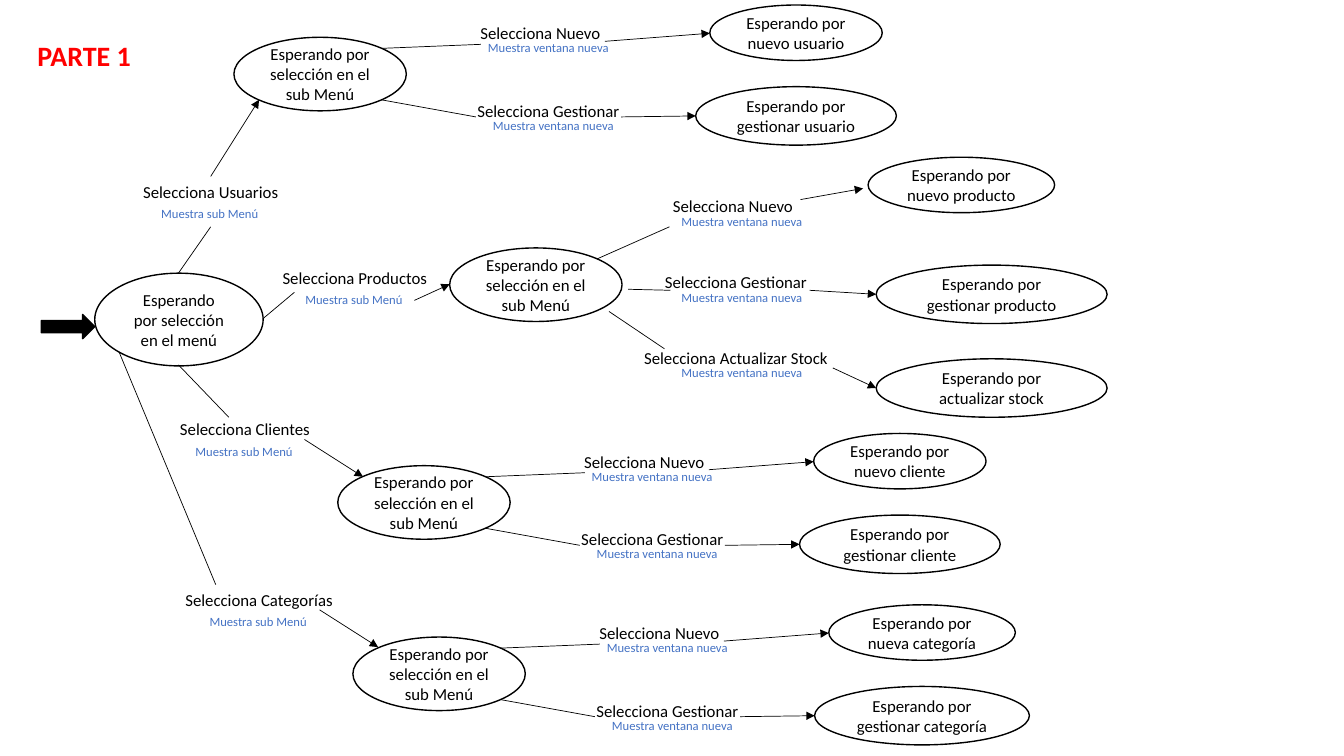
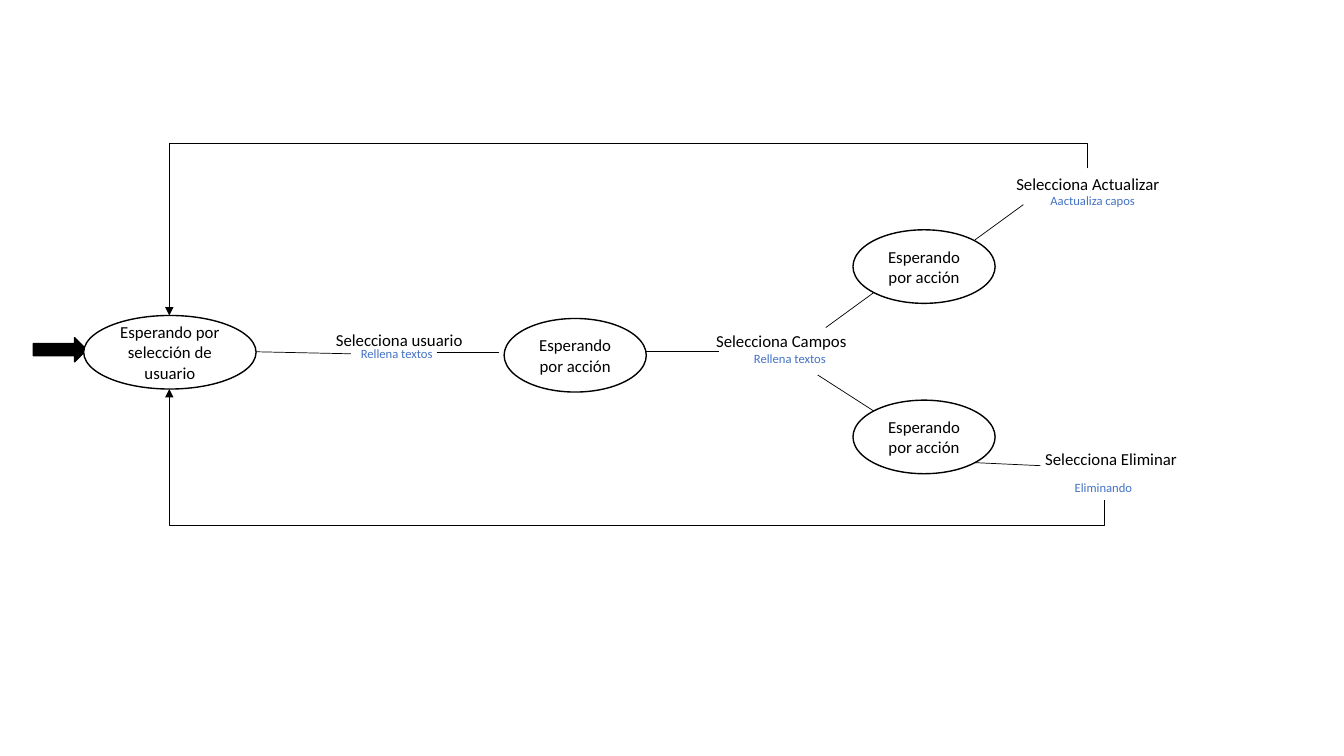
from lxml import etree
from pptx import Presentation
from pptx.dml.color import RGBColor
from pptx.enum.shapes import MSO_CONNECTOR, MSO_SHAPE
from pptx.enum.text import MSO_ANCHOR, MSO_AUTO_SIZE, PP_ALIGN
from pptx.oxml.ns import qn
from pptx.util import Inches, Pt

OVAL, ARROW = MSO_SHAPE.OVAL, MSO_SHAPE.RIGHT_ARROW
LINE, ELBOW = MSO_CONNECTOR.STRAIGHT, MSO_CONNECTOR.ELBOW
LEFT, CENTER = PP_ALIGN.LEFT, PP_ALIGN.CENTER
MIDDLE, TOP = MSO_ANCHOR.MIDDLE, MSO_ANCHOR.TOP
GROW, FIXED = MSO_AUTO_SIZE.SHAPE_TO_FIT_TEXT, MSO_AUTO_SIZE.NONE

# Shared look
FONT = "Calibri"
BLACK, WHITE, BLUE, RED = "000000", "FFFFFF", "4472C4", "FF0000"
SUB, NEW, FILL = "Muestra sub Menú", "Muestra ventana nueva", "Rellena textos"
WIDE = {SUB: 1.18, NEW: 1.42, FILL: 0.93, "Eliminando": 0.78, "Aactualiza capos": 1.05}
CHOOSE, ACT = "Esperando por selección en el sub Menú", "Esperando por acción"


def color(code):
    return RGBColor.from_string(code)


def write(frame, words, size, code, align=CENTER, bold=False):
    para = frame.paragraphs[0]
    para.alignment = align
    run = para.add_run()
    run.text = words
    run.font.name, run.font.size, run.font.bold = FONT, Pt(size), bold
    run.font.color.rgb = color(code)


def shape(slide, kind, x, y, w, h, fill):
    item = slide.shapes.add_shape(kind, Inches(x), Inches(y), Inches(w), Inches(h))
    item.shadow.inherit = False
    item.fill.solid()
    item.fill.fore_color.rgb = color(fill)
    item.line.color.rgb = color(BLACK)
    item.line.width = Pt(1)
    return item


def state(slide, x, y, w, h, words):
    frame = shape(slide, OVAL, x, y, w, h, WHITE).text_frame
    frame.word_wrap = True
    frame.vertical_anchor = MIDDLE
    write(frame, words, 12, BLACK)


def entry(slide, x, y):
    shape(slide, ARROW, x, y, 0.53, 0.24, BLACK)


def label(slide, x, y, w, h, words, size, code, align, wrap):
    box = slide.shapes.add_textbox(Inches(x), Inches(y), Inches(w), Inches(h))
    frame = box.text_frame
    frame.word_wrap = wrap
    frame.auto_size = GROW
    write(frame, words, size, code, align)


def step(slide, x, y, words, note, dx, dy, w=2.3):
    """An action in black with its effect in blue, set off by dx and dy."""
    label(slide, x + dx, y + dy, WIDE[note], 0.25, note, 9, BLUE, LEFT, False)
    label(slide, x, y, w, 0.3, words, 12, BLACK, CENTER, True)


def link(slide, x1, y1, x2, y2, head=False, kind=LINE):
    item = slide.shapes.add_connector(kind, Inches(x1), Inches(y1), Inches(x2), Inches(y2))
    item.line.color.rgb = color(BLACK)
    item.line.width = Pt(0.5)
    props = item._element.spPr
    if head:
        etree.SubElement(props.find(qn("a:ln")), qn("a:tailEnd"), type="triangle")
    etree.SubElement(props, qn("a:effectLst"))
    return props


def loop(slide, x1, y1, x2, y2, turn, out=0.25):
    """A return path, drawn as an elbow on its side that first runs outward."""
    w, h = abs(y2 - y1), abs(x2 - x1)
    x, y = (x1 + x2) / 2, (y1 + y2) / 2
    dy = h / 2 if turn == 270 else -h / 2
    props = link(slide, x + w / 2, y + dy, x - w / 2, y - dy, True, ELBOW)
    props.find(qn("a:xfrm")).set("rot", str(turn * 60000))
    guides = props.find(qn("a:prstGeom")).find(qn("a:avLst"))
    etree.SubElement(guides, qn("a:gd"), name="adj1", fmla=f"val {round(-out / w * 100000)}")


def branch(slide, x, y, new, new_w, manage, manage_w):
    """A sub menu state that leads to a new and a manage state."""
    state(slide, x, y, 1.71, 0.73, CHOOSE)
    step(slide, x + 1.89, y - 0.19, "Selecciona Nuevo", NEW, 0.53, 0.17)
    step(slide, x + 1.89, y + 0.58, "Selecciona Gestionar", NEW, 0.58, 0.17, 2.46)
    state(slide, x + 4.72, y - 0.32, new_w, 0.55, new)
    state(slide, x + 4.58, y + 0.49, manage_w, 0.58, manage)
    for x1, y1, x2, y2, head in [
        (1.46, 0.11, 2.45, 0.07, False), (3.68, 0.04, 4.72, -0.04, True),
        (1.46, 0.62, 2.4, 0.79, False), (3.84, 0.79, 4.58, 0.78, True),
    ]:
        link(slide, x + x1, y + y1, x + x2, y + y2, head)


def title(slide, words):
    item = slide.shapes.title
    item.left, item.top = Inches(0.27), Inches(0.33)
    item.width, item.height = Inches(1.34), Inches(0.44)
    frame = item.text_frame
    frame.word_wrap, frame.auto_size = True, FIXED
    frame.vertical_anchor = TOP
    write(frame, words, 20, RED, LEFT, True)


def menu(slide):
    title(slide, "PARTE 1")
    entry(slide, 0.41, 3.12)
    state(slide, 0.94, 2.71, 1.67, 0.92, "Esperando por selección en el menú")

    # Menu choices
    for x, y, name in [(0.94, 1.75, "Usuarios"), (2.37, 2.61, "Productos"),
                       (1.28, 4.11, "Clientes"), (1.42, 5.8, "Categorías")]:
        step(slide, x, y, f"Selecciona {name}", SUB, 0.56, 0.24)
    for ends in [
        (1.77, 2.71, 2.09, 2.25), (2.09, 1.75, 2.57, 0.99, True),
        (2.61, 3.16, 2.92, 2.9), (4.11, 2.98, 4.46, 2.82, True),
        (2.27, 4.14, 1.77, 3.62), (3.02, 4.36, 3.6, 4.73, True),
        (2.14, 5.8, 1.18, 3.49), (3.17, 6.05, 3.75, 6.42, True),
    ]:
        link(slide, *ends)

    # Branches of equal form
    for x, y, new, new_w, manage, manage_w in [
        (2.32, 0.37, "nuevo usuario", 1.71, "usuario", 1.99),
        (3.35, 4.62, "nuevo cliente", 1.71, "cliente", 1.99),
        (3.5, 6.32, "nueva categoría", 1.85, "categoría", 2.13),
    ]:
        branch(slide, x, y, f"Esperando por {new}", new_w,
               f"Esperando por gestionar {manage}", manage_w)

    # Products, with a third way for stock
    state(slide, 4.46, 2.46, 1.71, 0.73, CHOOSE)
    step(slide, 6.12, 1.89, "Selecciona Nuevo", NEW, 0.54, 0.18)
    step(slide, 6.07, 2.65, "Selecciona Gestionar", NEW, 0.59, 0.18, 2.46)
    step(slide, 6.07, 3.4, "Selecciona Actualizar Stock", NEW, 0.59, 0.17, 2.46)
    state(slide, 8.61, 1.56, 1.85, 0.55, "Esperando por nuevo producto")
    state(slide, 8.69, 2.63, 2.29, 0.58, "Esperando por gestionar producto")
    state(slide, 8.69, 3.56, 2.29, 0.58, "Esperando por actualizar stock")
    for ends in [
        (5.92, 2.57, 6.64, 2.25), (7.94, 1.98, 8.56, 1.87, True),
        (6.23, 2.87, 6.65, 2.88), (8.03, 2.88, 8.69, 2.92, True),
        (6.04, 3.09, 6.59, 3.46), (8.26, 3.65, 8.69, 3.85, True),
    ]:
        link(slide, *ends)


def user(slide):
    # States
    entry(slide, 0.33, 3.35)
    state(slide, 0.83, 3.13, 1.71, 0.73, "Esperando por selección de usuario")
    for x, y in [(5, 3.16), (8.46, 2.28), (8.46, 3.97)]:
        state(slide, x, y, 1.41, 0.73, ACT)

    # Actions
    step(slide, 2.81, 3.22, "Selecciona usuario", FILL, 0.67, 0.16)
    step(slide, 6.6, 3.23, "Selecciona Campos", FILL, 0.78, 0.2)
    step(slide, 9.64, 1.67, "Selecciona Actualizar", "Aactualiza capos", 0.68, 0.19)
    step(slide, 9.87, 4.4, "Selecciona Eliminar", "Eliminando", 0.69, 0.31)

    # Links and return paths
    for ends in [
        (2.54, 3.49, 3.48, 3.51), (4.33, 3.5, 4.95, 3.5), (6.41, 3.49, 7.13, 3.49),
        (8.19, 3.25, 8.67, 2.9), (8.11, 3.72, 8.67, 4.08),
        (9.67, 2.38, 10.15, 2.03), (9.67, 4.59, 10.32, 4.62),
    ]:
        link(slide, *ends)
    loop(slide, 10.79, 1.67, 1.68, 3.13, 270)
    loop(slide, 10.95, 4.96, 1.68, 3.86, 90)


def main():
    deck = Presentation()
    deck.slide_width, deck.slide_height = Inches(13.33), Inches(7.5)
    menu(deck.slides.add_slide(deck.slide_layouts[5]))
    user(deck.slides.add_slide(deck.slide_layouts[6]))
    deck.save("out.pptx")


main()
